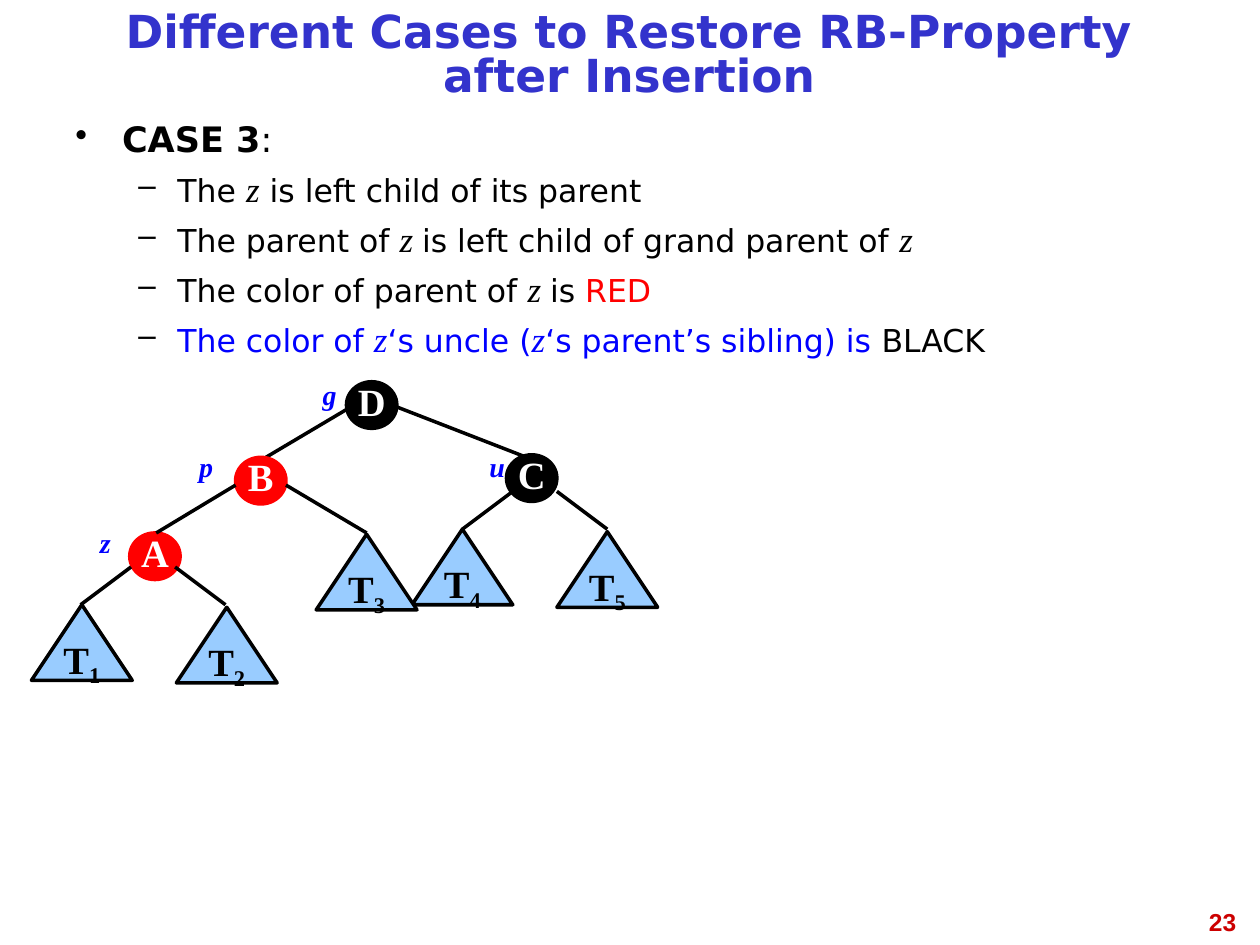
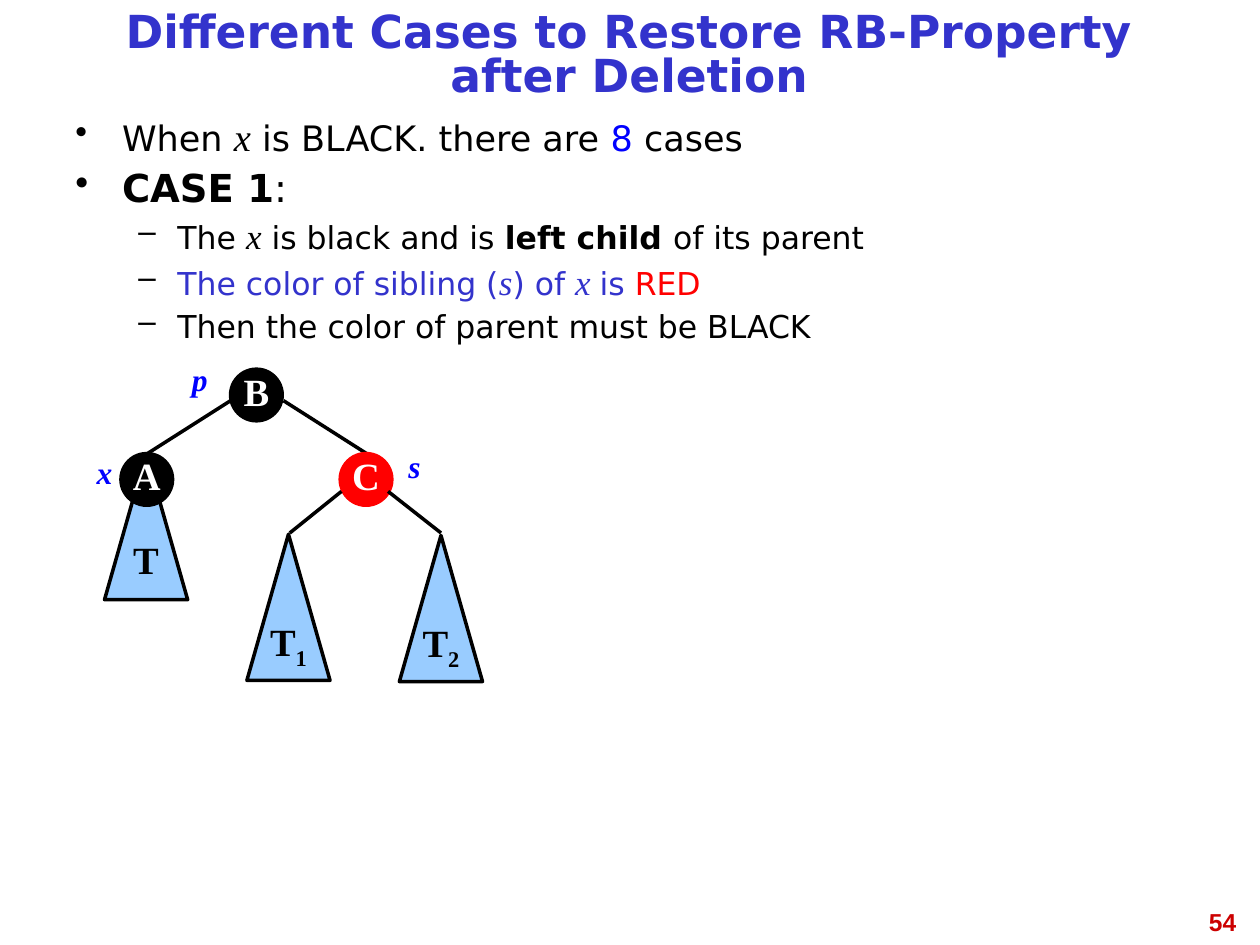
"""Build two slides on restoring the red-black property after insertion and deletion."""
import lxml.etree
import pptx
import pptx.dml.color
import pptx.enum.shapes
import pptx.enum.text
import pptx.oxml.ns
import pptx.util

PX = 9144
COLOURS = {
    "title": "3333CC",
    "number": "CC0000",
    "black": "000000",
    "white": "FFFFFF",
    "red": "FF0000",
    "blue": "0000FF",
    "subtree": "99CCFF",
}
SANS, SERIF = "DejaVu Sans", "Times New Roman"
ALIGN = pptx.enum.text.PP_ALIGN
MIDDLE = pptx.enum.text.MSO_ANCHOR.MIDDLE
SHAPES = pptx.enum.shapes.MSO_SHAPE
BULLETS = [
    {"char": "•", "margin": 37, "indent": -37, "before": 8},
    {"char": "–", "margin": 81, "indent": -31, "before": 7},
]

SLIDES = [
    {
        "title": "Different Cases to Restore RB-Property after Insertion",
        "number": "23",
        "spacing": 0.9,
        "body_height": 200,
        "body": [
            (0, [("CASE 3", 20, "black", "b"), (":", 20, "black", "")]),
            (1, [("The ", 18, "black", ""), ("z", 20, "black", "i"),
                 (" is left child of its parent", 18, "black", "")]),
            (1, [("The parent of ", 18, "black", ""), ("z ", 20, "black", "i"),
                 ("is left child of grand parent of ", 18, "black", ""), ("z", 20, "black", "i")]),
            (1, [("The color of parent of ", 18, "black", ""), ("z ", 20, "black", "i"),
                 ("is ", 18, "black", ""), ("RED", 18, "red", "")]),
            (1, [("The color of ", 18, "blue", ""), ("z", 20, "blue", "i"),
                 ("‘s uncle (", 18, "blue", ""), ("z", 20, "blue", "i"),
                 ("‘s parent’s sibling) is ", 18, "blue", ""), ("BLACK", 18, "black", "")]),
        ],
        "node_size": (40, 37),
        "subtree_size": (80, 60),
        "label_size": 16,
        "subtrees": [("1", 25, 480), ("2", 140, 482), ("4", 327, 420), ("5", 442, 422), ("3", 251, 424)],
        "edges_behind": [(315, 323, 418, 363), (211, 363, 275, 325)],
        "nodes": [("D", "black", 275, 303), ("B", "red", 187, 363),
                  ("A", "red", 103, 423), ("C", "black", 402, 361)],
        "edges_in_front": [(227, 385, 291, 423), (124, 423, 187, 385), (64, 480, 104, 450),
                           (179, 480, 139, 450), (367, 420, 407, 390), (482, 420, 442, 390)],
        "labels": [("p", 124, 352, 79), ("u", 347, 352, 95), ("g", 222, 295, 79), ("z", 44, 412, 79)],
    },
    {
        "title": "Different Cases to Restore RB-Property after Deletion",
        "number": "54",
        "spacing": 0.8,
        "body_height": 192,
        "body": [
            (0, [("When ", 20, "black", ""), ("x", 22, "black", "i"),
                 (" is BLACK. there are ", 20, "black", ""), ("8", 20, "blue", ""),
                 (" cases", 20, "black", "")]),
            (0, [("CASE 1", 22, "black", "b"), (":", 22, "black", "")]),
            (1, [("The ", 18, "black", ""), ("x", 20, "black", "i"),
                 (" is black and is ", 18, "black", ""), ("left child ", 18, "black", "b"),
                 ("of its parent", 18, "black", "")]),
            (1, [("The color of sibling (", 18, "title", ""), ("s", 20, "title", "i"),
                 (") of ", 18, "title", ""), ("x ", 20, "title", "i"),
                 ("is ", 18, "title", ""), ("RED", 18, "red", "")]),
            (1, [("Then the color of parent must be BLACK", 18, "black", "")]),
        ],
        "node_size": (41, 41),
        "subtree_size": (66, 116),
        "label_size": 18,
        "subtrees": [("", 83, 360), ("1", 196, 424), ("2", 317, 425)],
        "edges_behind": [(225, 318, 291, 360), (117, 360, 183, 318)],
        "nodes": [("B", "black", 183, 293), ("C", "red", 270, 360), ("A", "black", 96, 360)],
        "edges_in_front": [(230, 423, 271, 390), (350, 423, 308, 390)],
        "labels": [("p", 117, 281, 83), ("s", 300, 350, 58), ("x", 58, 355, 50)],
    },
]


def add_spans(para, spans, font):
    """Add each (text, size, colour, traits) span as one run."""
    for text, size, colour, traits in spans:
        span = para.add_run()
        span.text = text
        span.font.name = font if "i" not in traits else SERIF
        span.font.size = pptx.util.Pt(size)
        span.font.bold = "b" in traits
        span.font.italic = "i" in traits
        span.font.color.rgb = pptx.dml.color.RGBColor.from_string(COLOURS[colour])
        if "s" in traits:
            span.font._element.set("baseline", "-25000")


def add_box(page, kind, bounds, spans, align, font=SERIF, spacing=None, fill=None, line=None):
    """Add a text box, or a filled shape when a kind is given, and return it."""
    bounds = [value * PX for value in bounds]
    if kind is None:
        box = page.shapes.add_textbox(*bounds)
    else:
        box = page.shapes.add_shape(kind, *bounds)
        box.shadow.inherit = False
        box.fill.solid()
        box.fill.fore_color.rgb = pptx.dml.color.RGBColor.from_string(COLOURS[fill])
        box.line.color.rgb = pptx.dml.color.RGBColor.from_string(COLOURS[line])
        box.line.width = pptx.util.Pt(2)
        box.text_frame.vertical_anchor = MIDDLE
    box.text_frame.word_wrap = kind is None
    para = box.text_frame.paragraphs[0]
    para.alignment = align
    if spacing:
        para.line_spacing = spacing
    add_spans(para, spans, font)
    return box


deck = pptx.Presentation()
deck.slide_width = 1000 * PX
deck.slide_height = 750 * PX

for content in SLIDES:
    page = deck.slides.add_slide(deck.slide_layouts[6])
    add_box(page, None, (758, 715, 233, 52), [(content["number"], 14, "number", "b")],
            ALIGN.RIGHT, "Arial")
    title = add_box(page, None, (50, 8, 899, 75), [(content["title"], 26, "title", "b")],
                    ALIGN.CENTER, SANS, 0.81)
    title.text_frame.vertical_anchor = MIDDLE

    body = add_box(page, None, (50, 92, 899, content["body_height"]), [], ALIGN.JUSTIFY)
    for index, (level, spans) in enumerate(content["body"]):
        para = body.text_frame.add_paragraph() if index else body.text_frame.paragraphs[0]
        bullet = BULLETS[level]
        properties = para._p.get_or_add_pPr()
        properties.set("marL", str(bullet["margin"] * PX))
        properties.set("indent", str(bullet["indent"] * PX))
        tint = lxml.etree.SubElement(properties, pptx.oxml.ns.qn("a:buClr"))
        lxml.etree.SubElement(tint, pptx.oxml.ns.qn("a:srgbClr"), val=COLOURS["black"])
        lxml.etree.SubElement(properties, pptx.oxml.ns.qn("a:buChar"), char=bullet["char"])
        para.level = level
        para.alignment = ALIGN.JUSTIFY
        para.line_spacing = content["spacing"]
        para.space_before = pptx.util.Pt(bullet["before"] if index else 0)
        add_spans(para, spans, SANS)

    for digit, left, top in content["subtrees"]:
        spans = [("T", 22, "black", "b")]
        if digit:
            spans.append((digit, 22, "black", "bs"))
        add_box(page, SHAPES.ISOSCELES_TRIANGLE, (left, top, *content["subtree_size"]), spans,
                ALIGN.CENTER, spacing=0.81, fill="subtree", line="black")

    for layer in ("edges_behind", "nodes", "edges_in_front"):
        for item in content[layer]:
            if layer == "nodes":
                letter, colour, left, top = item
                add_box(page, SHAPES.OVAL, (left, top, *content["node_size"]),
                        [(letter, 22, "white", "b")], ALIGN.CENTER,
                        spacing=0.81, fill=colour, line=colour)
            else:
                edge = page.shapes.add_connector(pptx.enum.shapes.MSO_CONNECTOR.STRAIGHT,
                                                 *[value * PX for value in item])
                edge.line.color.rgb = pptx.dml.color.RGBColor.from_string(COLOURS["black"])
                edge.line.width = pptx.util.Pt(2)
                lxml.etree.SubElement(edge._element.spPr, pptx.oxml.ns.qn("a:effectLst"))

    for letter, left, top, width in content["labels"]:
        add_box(page, None, (left, top, width, 37),
                [(letter, content["label_size"], "blue", "bi")], ALIGN.CENTER)

deck.save("out.pptx")
